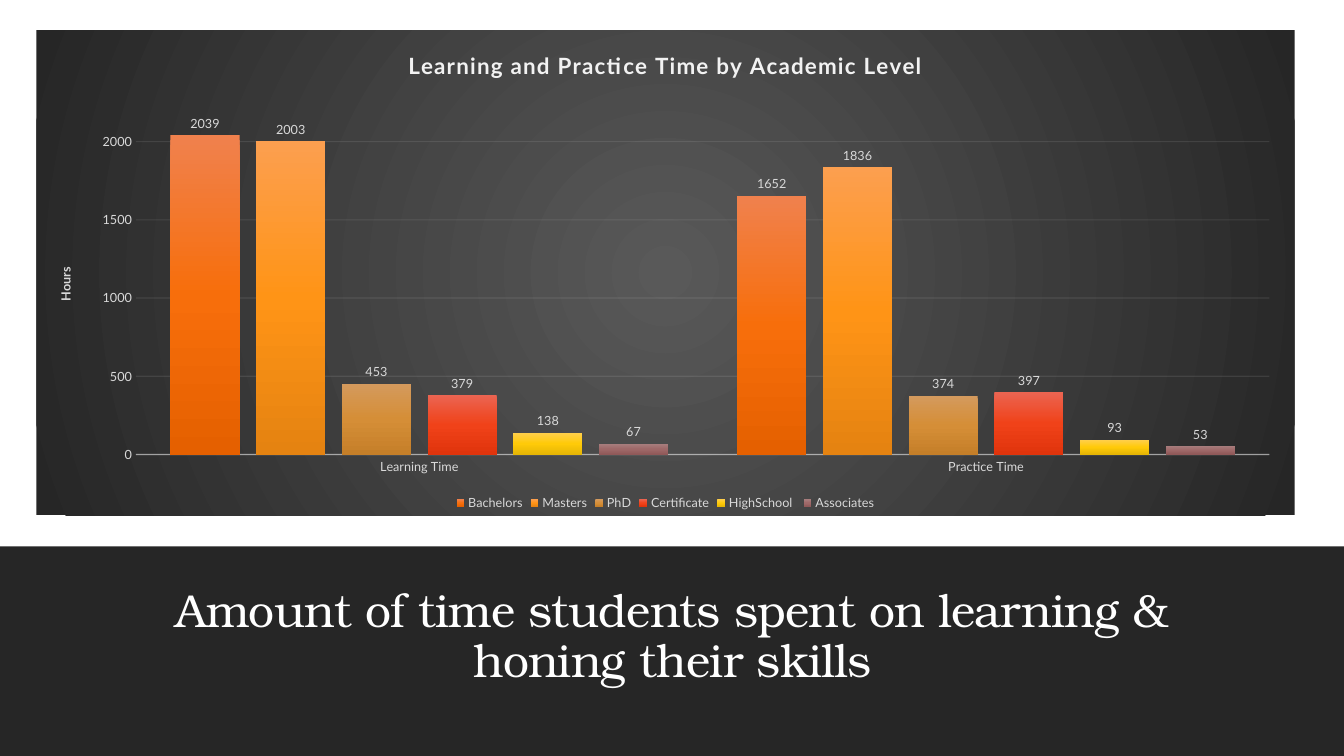
from lxml import etree
from pptx import Presentation
from pptx.chart.data import CategoryChartData
from pptx.dml.color import RGBColor
from pptx.enum.chart import XL_CHART_TYPE, XL_LABEL_POSITION, XL_LEGEND_POSITION, XL_TICK_MARK
from pptx.enum.shapes import MSO_SHAPE
from pptx.enum.text import MSO_ANCHOR, PP_ALIGN
from pptx.oxml import parse_xml
from pptx.oxml.ns import nsdecls, qn
from pptx.util import Inches, Pt

HEADLINE = "Amount of time students spent on learning & honing their skills"
CHART_TITLE = "Learning and Practice Time by Academic Level"
VALUE_TITLE = "Hours"
CATEGORIES = ["Learning Time", "Practice Time"]
# name, values, gradient from top to bottom
SERIES = [
    ("Bachelors", (2039, 1652), ("F0814D", "F76E0B", "E56000")),
    ("Masters", (2003, 1836), ("FC9F4F", "FF9416", "E58311")),
    ("PhD", (453, 374), ("D49A5D", "D58E37", "C57F29")),
    ("Certificate", (379, 397), ("EB6451", "F04219", "E0340C")),
    ("HighSchool ", (138, 93), ("FFCF4C", "FFCA08", "E5B505")),
    ("Associates", (67, 53), ("A77C7C", "9E6868", "905959")),
]
COLORS = {"white": "FFFFFF", "band": "262626", "glow": "595959",
          "label": "D9D9D9", "light": "F2F2F2"}
CHART_FONT = "Lato"
HEADLINE_FONT = "TeX Gyre Bonum"
LINEAR = '<a:lin ang="5400000" scaled="0"/>'
RADIAL = '<a:path path="circle"><a:fillToRect l="50000" t="50000" r="50000" b="50000"/></a:path>'


def rgb(name):
    return RGBColor.from_string(COLORS[name])


def gradient(colors, direction):
    """Return a gradFill element with evenly spaced stops."""
    step = 100000 // (len(colors) - 1)
    stops = "".join(f'<a:gs pos="{i * step}"><a:srgbClr val="{c}"/></a:gs>'
                    for i, c in enumerate(colors))
    return parse_xml(f'<a:gradFill {nsdecls("a")} rotWithShape="1">'
                     f'<a:gsLst>{stops}</a:gsLst>{direction}</a:gradFill>')


def style_font(font, size, color="label", bold=False, name=CHART_FONT):
    font.name, font.size, font.bold = name, Pt(size), bold
    font.color.rgb = rgb(color)


def style_line(line, width, element, opacity):
    """Draw a light line; element is the XML node that holds its colour."""
    line.width = Pt(width)
    line.color.rgb = rgb("light")
    color = element.find(f'.//{qn("a:ln")}//{qn("a:srgbClr")}')
    etree.SubElement(color, qn("a:alpha")).set("val", str(opacity * 1000))


def add_run(p, text, spacing=0):
    """Add a run with letter spacing in hundredths of a point; return its font."""
    r = p.add_run()
    r.text = text
    r._r.get_or_add_rPr().set("spc", str(spacing))
    return r.font


def add_band(slide, top, height, color):
    sp = slide.shapes.add_shape(MSO_SHAPE.RECTANGLE, 0, Inches(top), Inches(13.33), Inches(height))
    sp.shadow.inherit = False
    sp.fill.solid()
    sp.fill.fore_color.rgb = rgb(color)
    sp.line.fill.background()


def add_headline(slide):
    tf = slide.shapes.add_textbox(Inches(1.17), Inches(5.74), Inches(11), Inches(1.13)).text_frame
    tf.word_wrap = True
    tf.vertical_anchor = MSO_ANCHOR.BOTTOM
    p = tf.paragraphs[0]
    p.alignment = PP_ALIGN.CENTER
    p.line_spacing = 0.9
    style_font(add_run(p, HEADLINE, spacing=-50), 33, "white", name=HEADLINE_FONT)


def add_hours_chart(slide):
    data = CategoryChartData(number_format="0")
    data.categories = CATEGORIES
    for name, values, _ in SERIES:
        data.add_series(name, values)
    chart = slide.shapes.add_chart(XL_CHART_TYPE.COLUMN_CLUSTERED, Inches(0.36), Inches(0.3),
                                   Inches(12.48), Inches(4.81), data).chart
    style_font(chart.font, 10)
    background = parse_xml(f'<c:spPr {nsdecls("c", "a")}><a:ln><a:noFill/></a:ln></c:spPr>')
    background.insert(0, gradient((COLORS["glow"], COLORS["band"]), RADIAL))
    chart._chartSpace.find(qn("c:chart")).addnext(background)

    chart.has_title = True
    title = chart.chart_title.text_frame.paragraphs[0]
    style_font(add_run(title, CHART_TITLE, spacing=100), 16, "light", bold=True)
    chart.has_legend = True
    chart.legend.position = XL_LEGEND_POSITION.BOTTOM
    chart.legend.include_in_layout = False
    style_font(chart.legend.font, 9)

    cat, val = chart.category_axis, chart.value_axis
    for axis in (cat, val):
        axis.major_tick_mark = axis.minor_tick_mark = XL_TICK_MARK.NONE
        style_font(axis.tick_labels.font, 9)
    style_line(cat.format.line, 1, cat._element, 54)
    val.format.line.fill.background()
    val.minimum_scale, val.maximum_scale, val.major_unit = 0, 2300, 500
    val.has_major_gridlines = True
    style_line(val.major_gridlines.format.line, 0.75,
               val._element.find(qn("c:majorGridlines")), 10)
    val.has_title = True
    hours = val.axis_title.text_frame.paragraphs[0]
    style_font(add_run(hours, VALUE_TITLE), 9, bold=True)

    plot = chart.plots[0]
    plot.vary_by_categories = False
    plot.gap_width, plot.overlap = 100, -24
    for series, (_, _, colors) in zip(plot.series, SERIES):
        series.invert_if_negative = False
        series._element.get_or_add_spPr().insert(0, gradient(colors, LINEAR))
        labels = series.data_labels
        labels.show_value = True
        labels.position = XL_LABEL_POSITION.OUTSIDE_END
        style_font(labels.font, 9)


def main():
    prs = Presentation()
    prs.slide_width, prs.slide_height = Inches(13.33), Inches(7.5)
    slide = prs.slides.add_slide(prs.slide_layouts[6])
    add_band(slide, 0, 7.5, "white")
    add_band(slide, 5.42, 2.08, "band")
    add_headline(slide)
    add_hours_chart(slide)
    prs.save("out.pptx")


if __name__ == "__main__":
    main()
